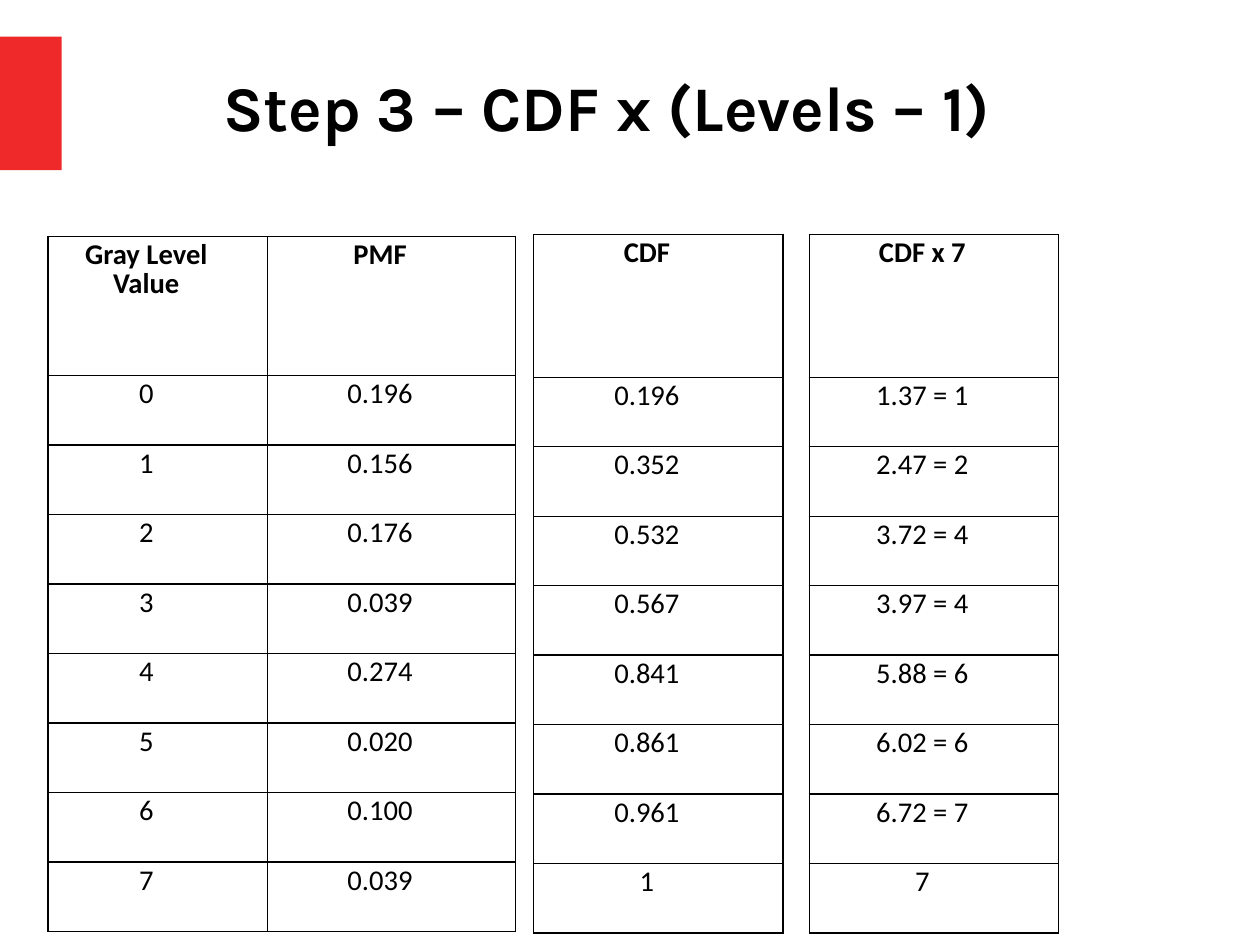
import dataclasses

import lxml.etree
import pptx
import pptx.dml.color
import pptx.enum.shapes
import pptx.enum.text
import pptx.oxml.ns
import pptx.slide
import pptx.table
import pptx.text.text
import pptx.util

Inches = pptx.util.Inches
Pt = pptx.util.Pt
RGBColor = pptx.dml.color.RGBColor
CENTER = pptx.enum.text.PP_ALIGN.CENTER

RED = RGBColor(0xEF, 0x29, 0x29)
BLACK = RGBColor(0x00, 0x00, 0x00)
ROW = 6.08 / 10  # the first table is ten units high, its head two


@dataclasses.dataclass
class Grid:
    left: float
    top: float
    head: float
    widths: list[float]
    rows: list[list[str]]


GRIDS = [
    Grid(0.42, 2.07, 2 * ROW, [1.92, 2.17], [
        ["Gray Level Value", "PMF"],
        ["0", "0.196"],
        ["1", "0.156"],
        ["2", "0.176"],
        ["3", "0.039"],
        ["4", "0.274"],
        ["5", "0.020"],
        ["6", "0.100"],
        ["7", "0.039"],
    ]),
    Grid(4.67, 2.05, 1.25, [2.18], [
        ["CDF"], ["0.196"], ["0.352"], ["0.532"], ["0.567"],
        ["0.841"], ["0.861"], ["0.961"], ["1"],
    ]),
    Grid(7.08, 2.05, 1.25, [2.18], [
        ["CDF x 7"], ["1.37 = 1"], ["2.47 = 2"], ["3.72 = 4"], ["3.97 = 4"],
        ["5.88 = 6"], ["6.02 = 6"], ["6.72 = 7"], ["7"],
    ]),
]


def add_run(para: pptx.text.text._Paragraph, text: str, face: str,
            size: float, bold: bool) -> None:
    para.alignment = CENTER
    run = para.add_run()
    run.text = text
    run.font.name = face
    run.font.size = Pt(size)
    run.font.bold = bold
    run.font.color.rgb = BLACK


def add_edges(cell: pptx.table._Cell) -> None:
    qn = pptx.oxml.ns.qn
    props = cell._tc.get_or_add_tcPr()
    for place, side in enumerate(("a:lnL", "a:lnR", "a:lnT", "a:lnB")):
        line = lxml.etree.Element(qn(side), w=str(Pt(1)))
        fill = lxml.etree.SubElement(line, qn("a:solidFill"))
        lxml.etree.SubElement(fill, qn("a:srgbClr"), val=str(BLACK))
        props.insert(place, line)


def fill_cell(cell: pptx.table._Cell, text: str, bold: bool) -> None:
    cell.fill.background()
    cell.margin_left, cell.margin_right = Inches(0.01), Inches(0.21)
    cell.margin_top = cell.margin_bottom = Inches(0.05)
    para = cell.text_frame.paragraphs[0]
    para.line_spacing = 0.81
    add_run(para, text, "Calibri", 18, bold)
    add_edges(cell)


def add_grid(slide: pptx.slide.Slide, grid: Grid) -> None:
    count = len(grid.rows)
    high = grid.head + ROW * (count - 1)
    table = slide.shapes.add_table(
        count, len(grid.widths), Inches(grid.left), Inches(grid.top),
        Inches(sum(grid.widths)), Inches(high)).table
    table.first_row = table.horz_banding = False
    for col, width in zip(table.columns, grid.widths):
        col.width = Inches(width)
    for i, texts in enumerate(grid.rows):
        table.rows[i].height = Inches(ROW if i else grid.head)
        for j, text in enumerate(texts):
            fill_cell(table.cell(i, j), text, bold=i == 0)


def add_title(slide: pptx.slide.Slide, text: str) -> None:
    title = slide.shapes.title
    title.left, title.top = Inches(0.56), Inches(0.3)
    title.width, title.height = Inches(9.5), Inches(1.25)
    frame = title.text_frame
    frame.word_wrap = True
    frame.auto_size = pptx.enum.text.MSO_AUTO_SIZE.NONE
    frame.vertical_anchor = pptx.enum.text.MSO_ANCHOR.MIDDLE
    add_run(frame.paragraphs[0], text, "Karla", 40, True)


def add_bar(slide: pptx.slide.Slide) -> None:
    bar = slide.shapes.add_shape(
        pptx.enum.shapes.MSO_SHAPE.RECTANGLE,
        Inches(0), Inches(0.32), Inches(0.54), Inches(1.17))
    bar.shadow.inherit = False
    bar.fill.solid()
    bar.fill.fore_color.rgb = RED
    bar.line.fill.background()


def main() -> None:
    deck = pptx.Presentation()
    deck.slide_width = Pt(793.75)
    deck.slide_height = Pt(595.25)
    slide = deck.slides.add_slide(deck.slide_layouts[5])

    # Heading
    add_bar(slide)
    add_title(slide, "Step 3 – CDF x (Levels – 1)")

    # Tables
    for grid in GRIDS:
        add_grid(slide, grid)

    deck.save("out.pptx")


if __name__ == "__main__":
    main()
